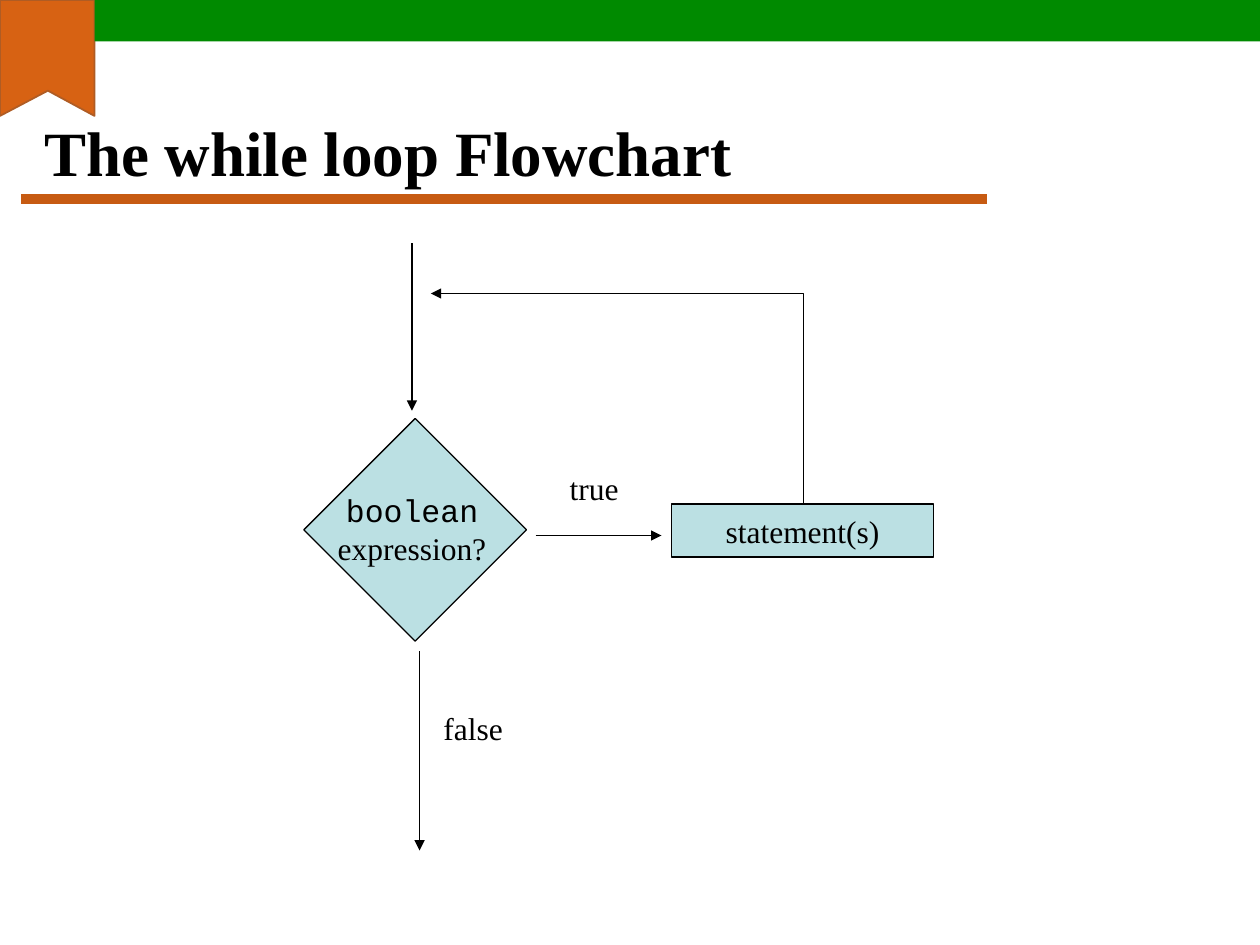
from lxml.etree import SubElement
from pptx import Presentation
from pptx.dml.color import RGBColor
from pptx.enum.shapes import MSO_CONNECTOR, MSO_SHAPE
from pptx.enum.text import MSO_ANCHOR, MSO_AUTO_SIZE, PP_ALIGN
from pptx.oxml.ns import qn
from pptx.util import Inches, Pt

BLACK = RGBColor(0x00, 0x00, 0x00)
GREEN = RGBColor(0x00, 0x8A, 0x00)
ORANGE = RGBColor(0xD7, 0x62, 0x13)
RIBBON_EDGE = RGBColor(0xAF, 0x5C, 0x24)
RULE_ORANGE = RGBColor(0xC7, 0x5B, 0x12)
PALE_BLUE = RGBColor(0xBB, 0xE0, 0xE3)
SERIF = "Times New Roman"
MONO = "Courier New"

TITLE = "The while loop Flowchart"
RIBBON = [(0, 0.92), (0, 0), (0.75, 0), (0.75, 0.92), (0.38, 0.72)]
STATEMENT = [("statement(s)", SERIF)]
LABELS = [
    ((4.42, 3.67, 0.59, 0.4), [("true", SERIF)]),
    ((2.58, 3.85, 1.38, 0.7), [("boolean", MONO), ("expression?", SERIF)]),
    ((3.42, 5.58, 0.67, 0.4), [("false", SERIF)]),
]
STRAIGHT_ARROWS = [
    (3.33, 5.17, 3.33, 6.75),
    (3.27, 1.93, 3.27, 3.26),
    (4.25, 4.25, 5.25, 4.25),
]
LOOP_BACK = (6.38, 4, 3.42, 2.33)


def paint(shape, fill, line=None, width=0.75):
    shape.shadow.inherit = False
    shape.fill.solid()
    shape.fill.fore_color.rgb = fill
    if line is None:
        shape.line.fill.background()
    else:
        shape.line.color.rgb = line
        shape.line.width = Pt(width)


def add_box(slide, bounds, fill, line=None):
    shape = slide.shapes.add_shape(MSO_SHAPE.RECTANGLE, *map(Inches, bounds))
    paint(shape, fill, line)
    return shape


def add_run(paragraph, text, font, size, bold=False):
    run = paragraph.add_run()
    run.text = text
    run.font.name = font
    run.font.size = Pt(size)
    run.font.bold = bold
    run.font.color.rgb = BLACK


def write_lines(frame, lines):
    frame.word_wrap = False
    for index, (text, font) in enumerate(lines):
        paragraph = frame.add_paragraph() if index else frame.paragraphs[0]
        paragraph.alignment = PP_ALIGN.CENTER
        add_run(paragraph, text, font, 18)


def add_line(slide, ends, color, width, kind=MSO_CONNECTOR.STRAIGHT):
    connector = slide.shapes.add_connector(kind, *map(Inches, ends))
    connector.line.color.rgb = color
    connector.line.width = Pt(width)
    SubElement(connector._element.spPr, qn("a:effectLst"))
    return connector


def add_arrow(slide, ends, kind=MSO_CONNECTOR.STRAIGHT):
    connector = add_line(slide, ends, BLACK, 0.75, kind)
    SubElement(connector.line._get_or_add_ln(), qn("a:tailEnd"), type="triangle")
    return connector


def add_frame(slide):
    add_line(slide, (0.17, 1.58, 7.83, 1.58), RULE_ORANGE, 6)
    start, *rest = [(Inches(x), Inches(y)) for x, y in RIBBON]
    builder = slide.shapes.build_freeform(*start)
    builder.add_line_segments(rest, close=True)
    paint(builder.convert_to_shape(), ORANGE, RIBBON_EDGE, 1)
    add_box(slide, (0.75, 0, 9.25, 0.33), GREEN)


def add_title(slide):
    title = slide.shapes.title
    title.left, title.top, title.width, title.height = map(Inches, (0.25, 0.6, 9, 1.2))
    title.text_frame.vertical_anchor = MSO_ANCHOR.MIDDLE
    paragraph = title.text_frame.paragraphs[0]
    paragraph.alignment = PP_ALIGN.LEFT
    add_run(paragraph, TITLE, SERIF, 36, bold=True)


def add_flowchart(slide):
    decision = add_box(slide, (2.67, 3.58, 1.25, 1.25), PALE_BLUE, BLACK)
    decision.rotation = 45
    statement = add_box(slide, (5.33, 4, 2.08, 0.42), PALE_BLUE, BLACK)
    statement.text_frame.vertical_anchor = MSO_ANCHOR.MIDDLE
    write_lines(statement.text_frame, STATEMENT)

    for ends in STRAIGHT_ARROWS:
        add_arrow(slide, ends)
    loop = add_arrow(slide, LOOP_BACK, MSO_CONNECTOR.ELBOW)
    geometry = loop._element.spPr.find(qn("a:prstGeom"))
    adjustments = geometry.find(qn("a:avLst"))
    SubElement(adjustments, qn("a:gd"), name="adj1", fmla="val 100")

    for bounds, lines in LABELS:
        frame = slide.shapes.add_textbox(*map(Inches, bounds)).text_frame
        write_lines(frame, lines)
        frame.auto_size = MSO_AUTO_SIZE.SHAPE_TO_FIT_TEXT


def main():
    presentation = Presentation()
    presentation.slide_width = Inches(10)
    presentation.slide_height = Inches(7.5)
    slide = presentation.slides.add_slide(presentation.slide_layouts[5])
    add_frame(slide)
    add_title(slide)
    add_flowchart(slide)
    presentation.save("out.pptx")


if __name__ == "__main__":
    main()
